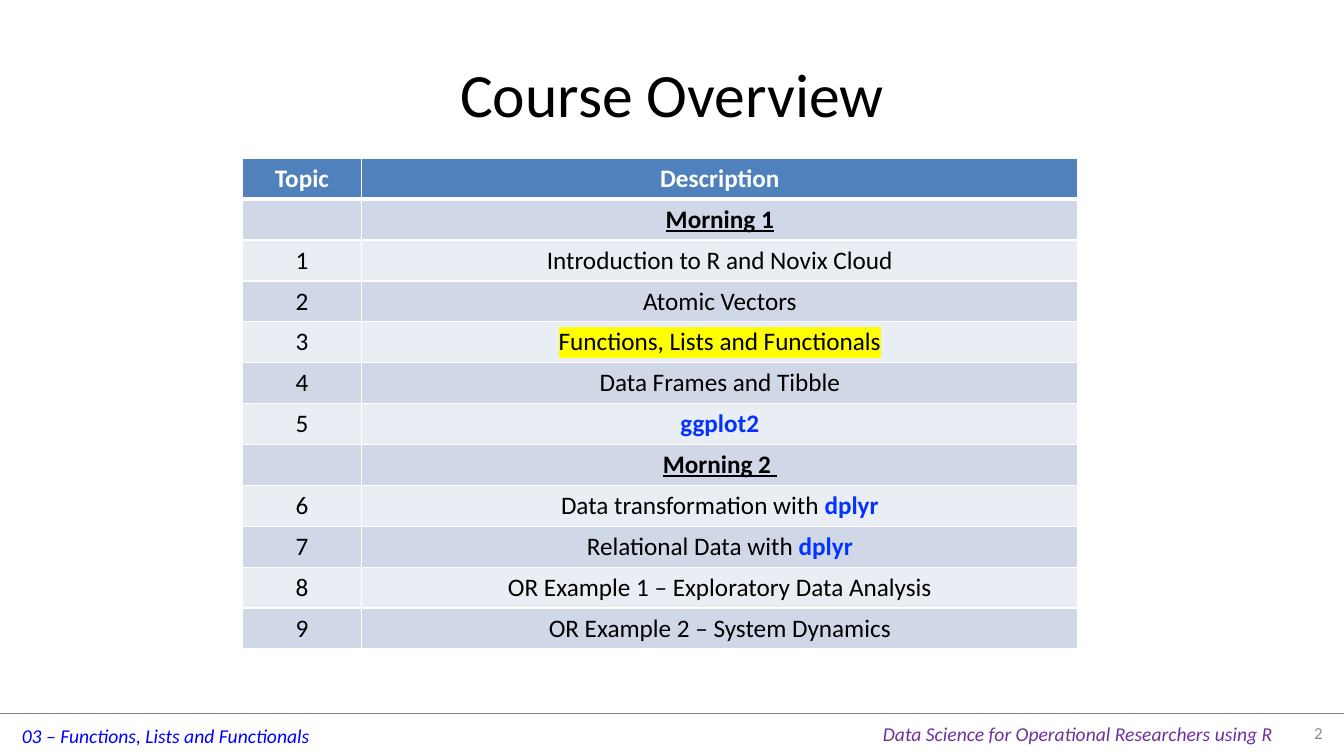
from lxml.etree import SubElement
from pptx import Presentation
from pptx.dml.color import RGBColor
from pptx.enum.shapes import MSO_CONNECTOR
from pptx.enum.text import MSO_ANCHOR, MSO_AUTO_SIZE, PP_ALIGN
from pptx.oxml import parse_xml
from pptx.oxml.ns import nsdecls, qn
from pptx.util import Cm, Pt

BLUE, BLACK, WHITE = "0432FF", "000000", "FFFFFF"
HEADER, BANDS = "4F81BD", ("D0D8E8", "E9EDF4")

TOPICS = [
    ("", [("Morning 1", "session")]),
    ("1", [("Introduction to R and Novix Cloud", "plain")]),
    ("2", [("Atomic Vectors", "plain")]),
    ("3", [("Functions, Lists and Functionals", "current")]),
    ("4", [("Data Frames and Tibble", "plain")]),
    ("5", [("ggplot2", "library")]),
    ("", [("Morning 2 ", "session")]),
    ("6", [("Data transformation with ", "plain"), ("dplyr", "library")]),
    ("7", [("Relational Data with ", "plain"), ("dplyr", "library")]),
    ("8", [("OR Example 1 – Exploratory Data Analysis", "plain")]),
    ("9", [("OR Example 2 – System Dynamics", "plain")]),
]
STYLES = {
    "plain": {},
    "header": {"color": WHITE, "bold": True},
    "session": {"bold": True, "underline": True},
    "library": {"color": BLUE, "bold": True},
    "current": {"highlight": "FFFF00"},
}


def rgb(value):
    return RGBColor.from_string(value)


def add_run(p, text, size, color=BLACK, bold=False, italic=False,
            underline=False, highlight=None):
    r = p.add_run()
    r.text = text
    font = r.font
    font.name, font.size = "Calibri", Pt(size)
    font.bold, font.italic, font.underline = bold, italic, underline
    font.color.rgb = rgb(color)
    if highlight:
        r._r.rPr.find(qn("a:solidFill")).addnext(parse_xml(
            f'<a:highlight {nsdecls("a")}><a:srgbClr val="{highlight}"/></a:highlight>'))


def add_text(slide, box, text, size, color, align=PP_ALIGN.LEFT,
             anchor=MSO_ANCHOR.TOP, wrap=True, italic=False):
    tf = slide.shapes.add_textbox(*map(Cm, box)).text_frame
    tf.word_wrap = wrap
    tf.auto_size = MSO_AUTO_SIZE.NONE if wrap else MSO_AUTO_SIZE.SHAPE_TO_FIT_TEXT
    tf.vertical_anchor = anchor
    p = tf.paragraphs[0]
    p.alignment = align
    add_run(p, text, size, color, italic=italic)


def add_title(slide, box):
    add_text(slide, box, "Course Overview", 44, BLACK, PP_ALIGN.CENTER, MSO_ANCHOR.MIDDLE)


def fill_cell(cell, runs, fill, bottom=1):
    cell.fill.solid()
    cell.fill.fore_color.rgb = rgb(fill)
    p = cell.text_frame.paragraphs[0]
    p.alignment = PP_ALIGN.CENTER
    for text, style in runs:
        add_run(p, text, 18, **STYLES[style])
    tcPr = cell._tc.get_or_add_tcPr()
    for i, (side, width) in enumerate(zip("LRTB", (1, 1, 1, bottom))):
        tcPr.insert(i, parse_xml(
            f'<a:ln{side} {nsdecls("a")} w="{Pt(width)}"><a:solidFill>'
            f'<a:srgbClr val="{WHITE}"/></a:solidFill></a:ln{side}>'))


def add_topics(slide, box):
    left, top, width, height = box
    count = len(TOPICS) + 1
    table = slide.shapes.add_table(count, 2, *map(Cm, box)).table
    number_width = 3.02
    table.columns[0].width = Cm(number_width)
    table.columns[1].width = Cm(width - number_width)
    for row in table.rows:
        row.height = Cm(height / count)
    for col, heading in enumerate(("Topic", "Description")):
        fill_cell(table.cell(0, col), [(heading, "header")], HEADER, bottom=3)
    for i, (number, description) in enumerate(TOPICS):
        fill = BANDS[i % 2]
        fill_cell(table.cell(i + 1, 0), [(number, "plain")] if number else [], fill)
        below = 3 if i < 0 else 1
        fill_cell(table.cell(i + 1, 1), description, fill, below)
    for col in range(2):
        line = table.cell(1, col)._tc.tcPr.find(qn("a:lnT"))
        line.set("w", str(Pt(3)))


def add_footer(slide, box):
    left, top, width, height = box
    rule = slide.shapes.add_connector(
        MSO_CONNECTOR.STRAIGHT, Cm(left), Cm(top), Cm(left + width), Cm(top))
    rule.line.color.rgb = rgb("808080")
    rule.line.width = Pt(0.25)
    SubElement(rule._element.spPr, qn("a:effectLst"))
    add_text(slide, (left + 0.3, top + 0.15, 7.85, 0.86),
             "03 – Functions, Lists and Functionals", 14, "0000FF",
             wrap=False, italic=True)
    add_text(slide, (left + 22, top + 0.1, 10.44, 0.86),
             "Data Science for Operational Researchers using R", 14, "7030A0",
             wrap=False, italic=True)
    add_text(slide, (left + 32.18, top, 1.4, height), "2", 12, "8C8C8C",
             PP_ALIGN.RIGHT, MSO_ANCHOR.MIDDLE)


def main():
    prs = Presentation()
    prs.slide_width, prs.slide_height = Cm(33.87), Cm(19.05)
    slide = prs.slides.add_slide(prs.slide_layouts[6])
    add_footer(slide, (0, 17.96, 33.87, 1))
    add_title(slide, (1.7, 0.76, 30.48, 3.18))
    add_topics(slide, (6.1, 3.99, 21.06, 12.37))
    prs.save("out.pptx")


if __name__ == "__main__":
    main()
